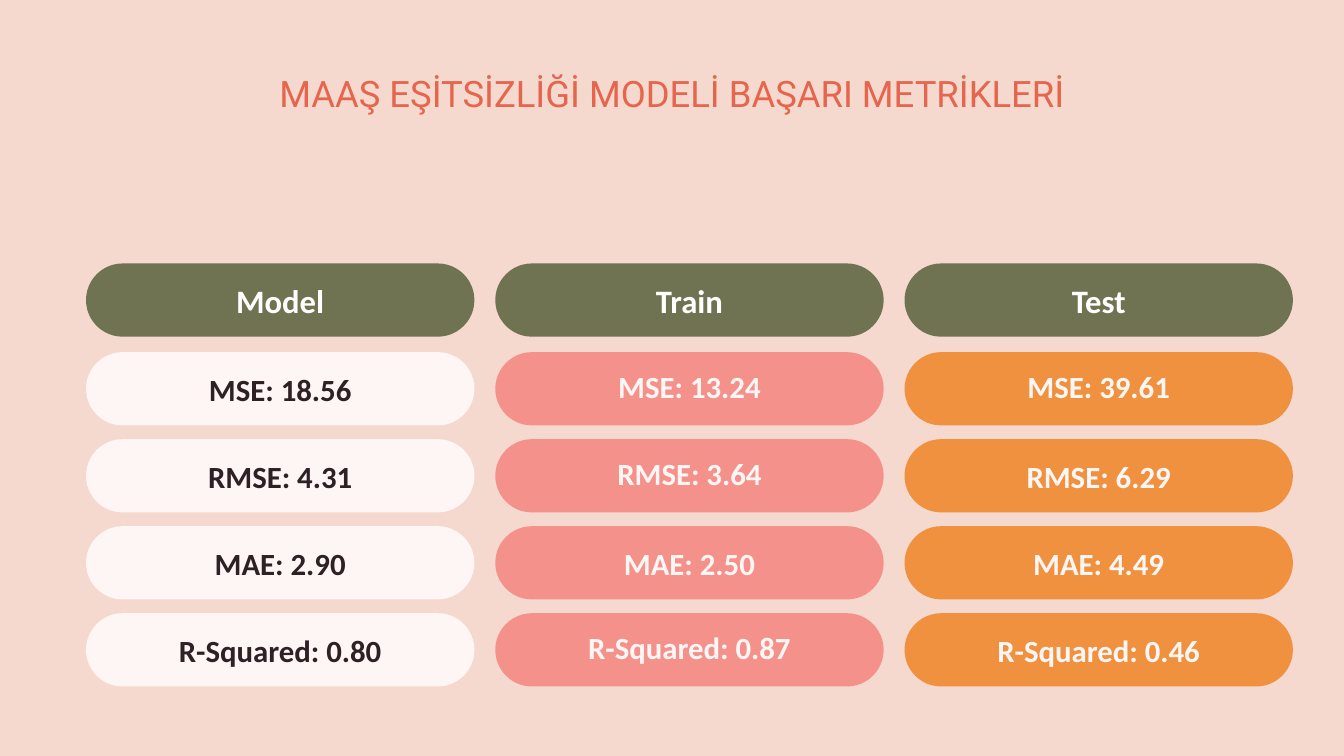
"""Build a slide comparing model, train and test metrics in a grid of pills."""
from pptx import Presentation
from pptx.dml.color import RGBColor
from pptx.enum.shapes import MSO_SHAPE
from pptx.enum.text import MSO_ANCHOR, MSO_AUTO_SIZE, PP_ALIGN
from pptx.util import Inches, Pt

PILL = MSO_SHAPE.ROUNDED_RECTANGLE
TOP, MIDDLE = MSO_ANCHOR.TOP, MSO_ANCHOR.MIDDLE
CENTER = PP_ALIGN.CENTER
NO_AUTOFIT = MSO_AUTO_SIZE.NONE

COLORS = {
    "background": "F6D9CE",
    "title": "E5654D",
    "header": "6F7351",
    "white": "FFFFFF",
    "cream": "FEF6F4",
    "dark": "2E2025",
    "pink": "F5918B",
    "orange": "EF913F",
}

TITLE = "MAAŞ EŞİTSİZLİĞİ MODELİ BAŞARI METRİKLERİ"
METRICS = ["MSE", "RMSE", "MAE", "R-Squared"]
COLUMNS = [
    {"name": "Model", "values": ["18.56", "4.31", "2.90", "0.80"],
     "fill": "cream", "text": "dark", "raised": []},
    {"name": "Train", "values": ["13.24", "3.64", "2.50", "0.87"],
     "fill": "pink", "text": "cream", "raised": ["MSE", "RMSE", "R-Squared"]},
    {"name": "Test", "values": ["39.61", "6.29", "4.49", "0.46"],
     "fill": "orange", "text": "cream", "raised": ["MSE"]},
]

SLIDE_WIDTH, SLIDE_HEIGHT = 20, 11.25
GRID_LEFT, COLUMN_STEP = 1.28, 6.09
HEADER_TOP, BODY_TOP, ROW_STEP = 3.92, 5.24, 1.295
PILL_WIDTH, PILL_HEIGHT = 5.78, 1.09
RAISED_INSET = 0.08
TITLE_WIDTH = 15.78


def color(name):
    return RGBColor.from_string(COLORS[name])


def write(shape, text, font_name, size, text_color, bold, anchor, bottom=0):
    frame = shape.text_frame
    frame.margin_left = frame.margin_right = frame.margin_top = 0
    frame.margin_bottom = Inches(bottom)
    frame.word_wrap = True
    frame.auto_size = NO_AUTOFIT
    frame.vertical_anchor = anchor
    frame.text = text
    paragraph = frame.paragraphs[0]
    paragraph.alignment = CENTER
    font = paragraph.font
    font.name, font.size, font.bold = font_name, Pt(size), bold
    font.color.rgb = color(text_color)
    return paragraph


def add_pill(page, left, top, text, size, fill, text_color, bottom=0):
    pill = page.shapes.add_shape(
        PILL, Inches(left), Inches(top), Inches(PILL_WIDTH), Inches(PILL_HEIGHT))
    pill.adjustments[0] = 0.5
    pill.shadow.inherit = False
    pill.fill.solid()
    pill.fill.fore_color.rgb = color(fill)
    pill.line.fill.background()
    write(pill, text, "Calibri", size, text_color, True, MIDDLE, bottom)


def add_title(page):
    title = page.shapes.title
    title.left, title.top = Inches((SLIDE_WIDTH - TITLE_WIDTH) / 2), Inches(0.7)
    title.width, title.height = Inches(TITLE_WIDTH), Inches(1.93)
    paragraph = write(title, TITLE, "Roboto", 39, "title", False, TOP)
    paragraph.line_spacing = Pt(72.9)


def add_column(page, index, column):
    left = GRID_LEFT + index * COLUMN_STEP
    add_pill(page, left, HEADER_TOP, column["name"], 35, "header", "white")
    for row, (metric, value) in enumerate(zip(METRICS, column["values"])):
        bottom = RAISED_INSET if metric in column["raised"] else 0
        add_pill(page, left, BODY_TOP + row * ROW_STEP, f"{metric}: {value}",
                 33, column["fill"], column["text"], bottom)


def main():
    deck = Presentation()
    deck.slide_width, deck.slide_height = Inches(SLIDE_WIDTH), Inches(SLIDE_HEIGHT)
    page = deck.slides.add_slide(deck.slide_layouts.get_by_name("Title Only"))
    page.background.fill.solid()
    page.background.fill.fore_color.rgb = color("background")
    add_title(page)
    for index, column in enumerate(COLUMNS):
        add_column(page, index, column)
    deck.save("out.pptx")


if __name__ == "__main__":
    main()
